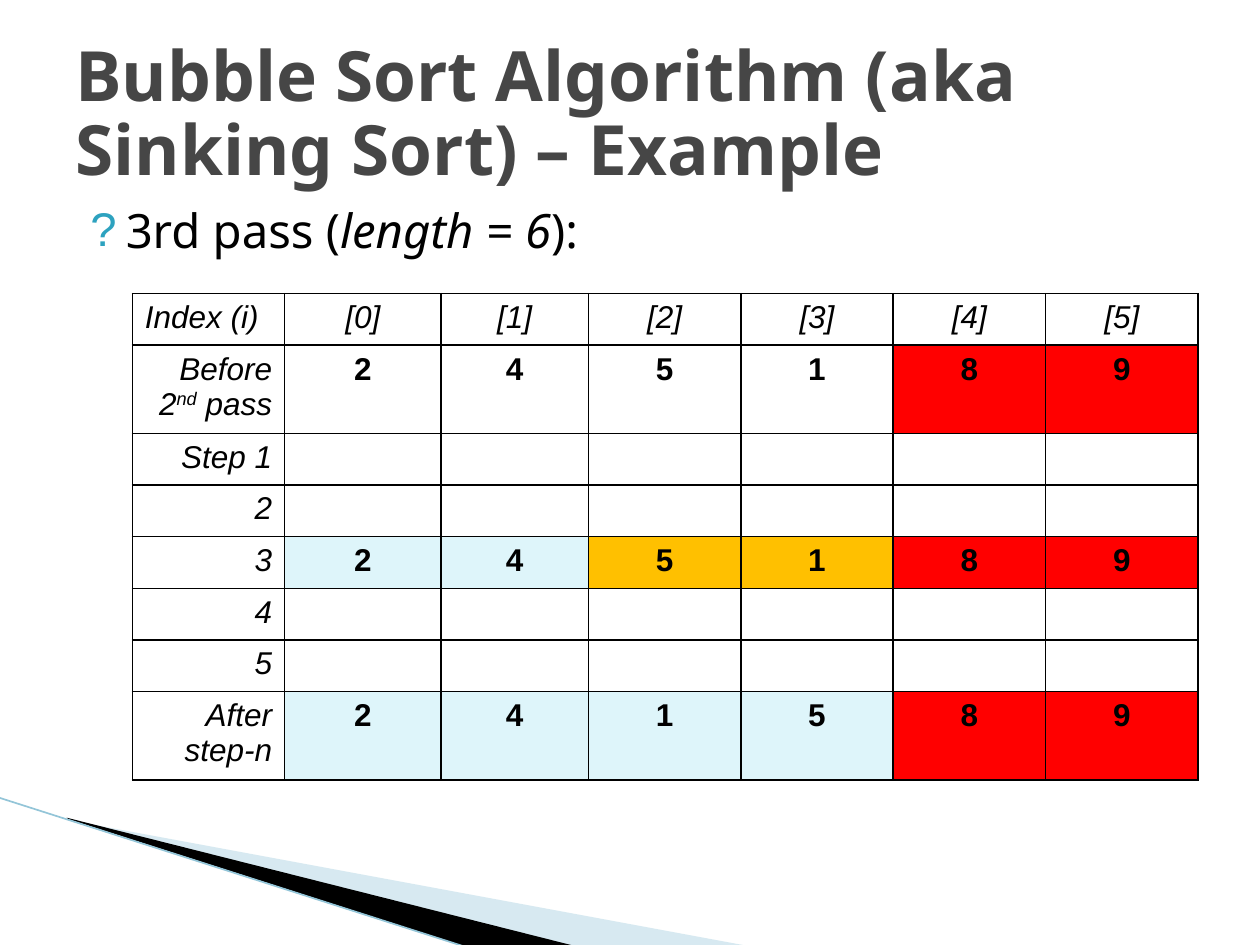
from lxml import etree
from pptx import Presentation
from pptx.dml.color import RGBColor
from pptx.enum.shapes import MSO_CONNECTOR as Connector
from pptx.enum.text import MSO_ANCHOR as Anchor, PP_ALIGN as Align
from pptx.oxml.ns import qn
from pptx.util import Inches, Pt

BLACK, RED, AMBER, PALE = "000000", "FF0000", "FFC000", "DEF5FA"


def color(value):
    return RGBColor.from_string(value)


def add_node(parent, tag, **attributes):
    node = etree.SubElement(parent, qn(tag))
    for name, value in attributes.items():
        node.set(name, str(value))
    return node


class SlideBuilder:
    heading_font = "Noto Sans"
    table_font = "Arial"
    table_size = 18
    border_width = 1

    def __init__(self, page):
        self.page = page

    def span(self, para, text, font, size, ink=BLACK, bold=False, italic=False, raised=False):
        span = para.add_run()
        span.text = text
        span.font.name = font
        span.font.size = Pt(size)
        span.font.bold = bold
        span.font.italic = italic
        span.font.color.rgb = color(ink)
        if raised:
            span.font._element.set("baseline", "30000")

    def text_box(self, left, top, width, height, anchor=Anchor.TOP):
        box = self.page.shapes.add_textbox(*map(Inches, (left, top, width, height)))
        box.text_frame.word_wrap = True
        box.text_frame.vertical_anchor = anchor
        return box.text_frame.paragraphs[0]

    def bullet(self, para, char, ink, margin, indent):
        props = para._p.get_or_add_pPr()
        props.set("marL", str(Inches(margin)))
        props.set("indent", str(Inches(indent)))
        add_node(add_node(props, "a:buClr"), "a:srgbClr", val=ink)
        add_node(props, "a:buFont", typeface=self.table_font)
        add_node(props, "a:buChar", char=char)

    def polygon(self, points, fill, opacity=100):
        start, *rest = [(Inches(x), Inches(y)) for x, y in points]
        builder = self.page.shapes.build_freeform(*start)
        builder.add_line_segments(rest, close=True)
        shape = builder.convert_to_shape()
        shape.shadow.inherit = False
        shape.line.fill.background()
        shape.fill.solid()
        shape.fill.fore_color.rgb = color(fill)
        if opacity < 100:
            ink = shape._element.spPr.find(".//" + qn("a:srgbClr"))
            add_node(ink, "a:alpha", val=opacity * 1000)

    def line(self, start, end, ink, width):
        line = self.page.shapes.add_connector(Connector.STRAIGHT, *map(Inches, start + end))
        line.line.color.rgb = color(ink)
        line.line.width = Pt(width)
        add_node(line._element.spPr, "a:effectLst")

    def table(self, left, top, widths, row_height, rows):
        frame = self.page.shapes.add_table(
            len(rows), len(widths), Inches(left), Inches(top),
            Inches(sum(widths)), Inches(row_height * len(rows)))
        table = frame.table
        table.first_row = table.horz_banding = False
        for column, width in zip(table.columns, widths):
            column.width = Inches(width)
        for r, (label, values, fills) in enumerate(rows):
            table.rows[r].height = Inches(row_height)
            header = r == 0
            self.cell(table.cell(r, 0), label, Align.LEFT if header else Align.RIGHT, italic=True)
            for c in range(1, len(widths)):
                text = values[c - 1] if values else ""
                fill = fills[c - 1] if fills else None
                self.cell(table.cell(r, c), [text], Align.CENTER, fill,
                          bold=not header, italic=header)

    def cell(self, cell, parts, align, fill=None, bold=False, italic=False):
        props = cell._tc.get_or_add_tcPr()
        for side in ("a:lnL", "a:lnR", "a:lnT", "a:lnB"):
            border = add_node(props, side, w=Pt(self.border_width))
            add_node(add_node(border, "a:solidFill"), "a:srgbClr", val=BLACK)
        if fill:
            cell.fill.solid()
            cell.fill.fore_color.rgb = color(fill)
        else:
            cell.fill.background()
        para = cell.text_frame.paragraphs[0]
        para.alignment = align
        para.font.size = Pt(self.table_size)
        # Every second part is superscript
        for i, text in enumerate(parts):
            if text:
                self.span(para, text, self.table_font, self.table_size,
                          bold=bold, italic=italic, raised=i % 2 == 1)


def main():
    deck = Presentation()
    deck.slide_width, deck.slide_height = Inches(10), Inches(7.5)
    slide = SlideBuilder(deck.slides.add_slide(deck.slide_layouts[6]))

    # Corner decoration
    slide.polygon([(0.55, 6.51), (5.95, 7.51), (4.56, 7.51), (0.55, 6.5)], "9CCADC", 40)
    slide.polygon([(0.53, 6.49), (4.57, 7.51), (3.72, 7.52), (0.54, 6.5)], BLACK)
    slide.line((-0.01, 6.33), (3.71, 7.52), "93C5D8", 0.95)

    # Bulleted lead-in
    lead = slide.text_box(0.5, 1.55, 9, 4.95)
    slide.bullet(lead, "?", "2DA2BF", 0.4, -0.28)
    for text, italic in (("3rd pass (", False), ("length = 6", True), ("):", False)):
        slide.span(lead, text, slide.heading_font, 27, italic=italic)

    # Title
    title = slide.text_box(0.5, 0.3, 9, 1.25, Anchor.MIDDLE)
    title.line_spacing = 0.88
    slide.span(title, "Bubble Sort Algorithm (aka Sinking Sort) – Example",
               slide.heading_font, 39.6, "464646", bold=True)

    # Sorting steps: label parts, values, fills
    done = [RED] * 2
    rows = [
        (["Index (i)"], [f"[{i}]" for i in range(6)], None),
        (["Before 2", "nd", " pass"], "245189", [None] * 4 + done),
        (["Step 1"], None, None),
        (["2"], None, None),
        (["3"], "245189", [PALE] * 2 + [AMBER] * 2 + done),
        (["4"], None, None),
        (["5"], None, None),
        (["After step-n"], "241589", [PALE] * 4 + done),
    ]
    slide.table(1.05, 2.33, [1.21, 1.24, 1.17] + [1.21] * 4, 0.41, rows)

    deck.save("out.pptx")


if __name__ == "__main__":
    main()
